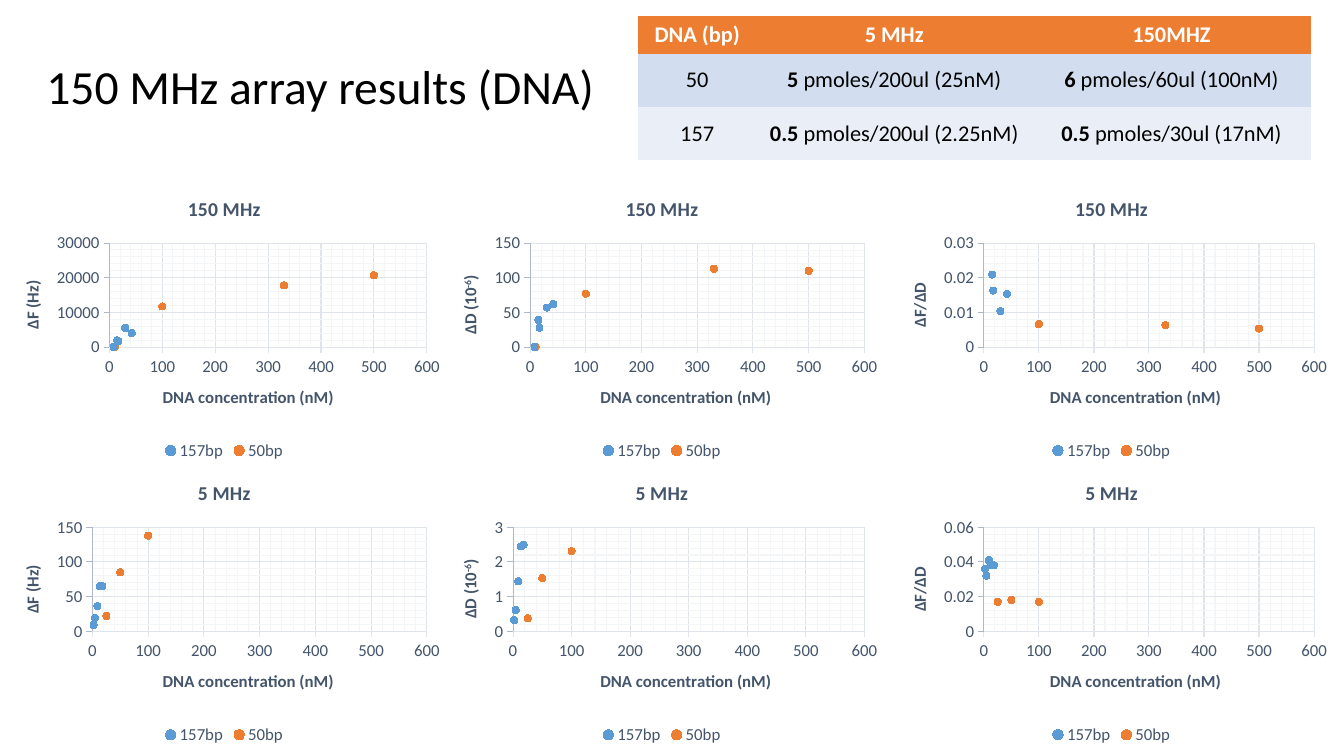
from lxml import etree
from pptx import Presentation
from pptx import util as u
from pptx.chart.data import XyChartData
from pptx.dml.color import RGBColor
from pptx.enum import chart as ch, text
from pptx.oxml import ns

FONT = "Calibri"
COLORS = {"black": "000000", "white": "FFFFFF", "head": "ED7D31", "band1": "D2DEEF",
          "band2": "EAEFF7", "label": "44546A", "axis_x": "E0E5EB", "axis_y": "ADB9CA",
          "grid": "E0E5EB", "minor": "F3F5F7", "157bp": "5B9BD5", "50bp": "ED7D31"}

TITLE = "150 MHz array results (DNA)"
TABLE = [
    [("", "DNA (bp)"), ("", "5 MHz"), ("", "150MHZ")],
    [("", "50"), ("5 ", "pmoles/200ul (25nM)"), ("6 ", "pmoles/60ul (100nM)")],
    [("", "157"), ("0.5 ", "pmoles/200ul (2.25nM)"), ("0.5 ", "pmoles/30ul (17nM)")],
]
COL_WIDTHS = [1.17, 2.74, 2.76]
ROW_HEIGHTS = [0.37, 0.53, 0.53]
ROW_FILLS = ["head", "band1", "band2"]

X_TITLE = "DNA concentration (nM)"
Y_TITLES = [("ΔF (Hz)",), ("ΔD (10", "-6", ")"), ("ΔF/ΔD",)]
CHART_ROWS = [
    ("150 MHz", {"157bp": [8, 17, 15, 30, 42], "50bp": [10, 100, 330, 500]}, [
        (30000, 10000, {"157bp": [0, 1700, 1900, 5500, 4000], "50bp": [0, 11700, 17800, 20700]}),
        (150, 50, {"157bp": [0, 28, 39, 57, 62], "50bp": [0, 77, 113, 110]}),
        (0.03, 0.01, {"157bp": [None, 0.0163, 0.0209, 0.0103, 0.0153],
                      "50bp": [None, 0.0066, 0.0063, 0.0053]}),
    ]),
    ("5 MHz", {"157bp": [2.2, 4.5, 9, 13.5, 18], "50bp": [25, 50, 100, 150]}, [
        (150, 50, {"157bp": [9, 19, 36, 65, 65], "50bp": [22, 85, 138, None]}),
        (3, 1, {"157bp": [0.32, 0.61, 1.44, 2.45, 2.5], "50bp": [0.37, 1.53, 2.31]}),
        (0.06, 0.02, {"157bp": [0.036, 0.032, 0.041, 0.038, 0.038],
                      "50bp": [0.017, 0.018, 0.017]}),
    ]),
]
CHART_LEFTS = [0, 4.34, 8.8]
CHART_TOP, CHART_W, CHART_H = 1.79, 4.45, 2.82


def rgb(name):
    return RGBColor.from_string(COLORS[name])


def style(font, size, color, bold=False):
    font.name, font.size, font.bold = FONT, u.Pt(size), bold
    font.color.rgb = rgb(color)


def label(tf, parts, size):
    p = tf.paragraphs[0]
    for i, part in enumerate(parts):
        r = p.add_run()
        r.text = part
        style(r.font, size, "label", True)
        if i == 1:
            r.font._element.set("baseline", "30000")


def style_line(line, color):
    line.color.rgb = rgb(color)
    line.width = u.Pt(0.75)


def style_axis(axis, title, top, step, color):
    label(axis.axis_title.text_frame, title, 12)
    axis.minimum_scale, axis.maximum_scale, axis.major_unit = 0, top, step
    axis.has_major_gridlines = axis.has_minor_gridlines = True
    style_line(axis.major_gridlines.format.line, "grid")
    minor = axis._element.find(ns.qn("c:minorGridlines"))
    sp_pr = etree.SubElement(minor, ns.qn("c:spPr"))
    ln = etree.SubElement(sp_pr, ns.qn("a:ln"), w="9525")
    fill = etree.SubElement(ln, ns.qn("a:solidFill"))
    etree.SubElement(fill, ns.qn("a:srgbClr"), val=COLORS["minor"])
    axis.major_tick_mark = ch.XL_TICK_MARK.OUTSIDE
    axis.minor_tick_mark = ch.XL_TICK_MARK.NONE
    axis.tick_labels.number_format = "General"
    axis.tick_labels.number_format_is_linked = False
    style(axis.tick_labels.font, 12, "label")
    style_line(axis.format.line, color)


def clear_missing_points(chart):
    for pt in list(chart._chartSpace.iter(ns.qn("c:pt"))):
        if pt.findtext(ns.qn("c:v")) in ("None", "", None):
            pt.getparent().remove(pt)


def add_scatter(s, left, top, title, y_title, xs, y_max, y_step, ys):
    data = XyChartData()
    for name, values in ys.items():
        series = data.add_series(name)
        for x, y in zip(xs[name], values):
            series.add_data_point(x, y)
    chart = s.shapes.add_chart(ch.XL_CHART_TYPE.XY_SCATTER, u.Inches(left), u.Inches(top),
                               u.Inches(CHART_W), u.Inches(CHART_H), data).chart
    clear_missing_points(chart)
    style(chart.font, 12, "black")
    label(chart.chart_title.text_frame, (title,), 14)
    chart.chart_title.include_in_layout = False
    chart.has_legend = True
    chart.legend.position = ch.XL_LEGEND_POSITION.BOTTOM
    chart.legend.include_in_layout = False
    style(chart.legend.font, 12, "label")
    style_axis(chart.category_axis, (X_TITLE,), 600, 100, "axis_x")
    style_axis(chart.value_axis, y_title, y_max, y_step, "axis_y")
    chart.plots[0].vary_by_categories = False
    for series in chart.plots[0].series:
        series.smooth = False
        series.format.line.fill.background()
        marker = series.marker
        marker.style, marker.size = ch.XL_MARKER_STYLE.CIRCLE, 5
        marker.format.fill.solid()
        marker.format.fill.fore_color.rgb = rgb(series.name)
        marker.format.line.fill.background()


def add_title(s):
    sp = s.shapes.title
    sp.left, sp.top, sp.width, sp.height = map(u.Inches, (0.36, 0.51, 5.69, 0.67))
    tf = sp.text_frame
    tf.text = TITLE
    tf.word_wrap = False
    tf.vertical_anchor = text.MSO_ANCHOR.TOP
    tf.paragraphs[0].alignment = text.PP_ALIGN.LEFT
    style(tf.paragraphs[0].runs[0].font, 34, "black")


def clear_borders(cell):
    tc_pr = cell._tc.get_or_add_tcPr()
    for i, side in enumerate(("lnL", "lnR", "lnT", "lnB")):
        ln = etree.Element(ns.qn("a:" + side), w="0")
        etree.SubElement(ln, ns.qn("a:noFill"))
        tc_pr.insert(i, ln)


def add_dna_table(s):
    table = s.shapes.add_table(len(TABLE), len(COL_WIDTHS), u.Inches(6.33), u.Inches(0.16),
                               u.Inches(sum(COL_WIDTHS)), u.Inches(sum(ROW_HEIGHTS))).table
    for col, width in zip(table.columns, COL_WIDTHS):
        col.width = u.Inches(width)
    for i, (row, height) in enumerate(zip(table.rows, ROW_HEIGHTS)):
        row.height = u.Inches(height)
        for cell, (amount, rest) in zip(row.cells, TABLE[i]):
            cell.fill.solid()
            cell.fill.fore_color.rgb = rgb(ROW_FILLS[i])
            clear_borders(cell)
            cell.vertical_anchor = text.MSO_ANCHOR.MIDDLE
            p = cell.text_frame.paragraphs[0]
            p.alignment = text.PP_ALIGN.CENTER
            for part, bold in ((amount, True), (rest, i == 0)):
                if part:
                    r = p.add_run()
                    r.text = part
                    style(r.font, 16, "black" if i else "white", bold)


def main():
    prs = Presentation()
    prs.slide_width, prs.slide_height = u.Inches(13.33), u.Inches(7.5)
    s = prs.slides.add_slide(prs.slide_layouts[5])
    for i, (title, xs, charts) in enumerate(CHART_ROWS):
        for left, y_title, (y_max, y_step, ys) in zip(CHART_LEFTS, Y_TITLES, charts):
            add_scatter(s, left, CHART_TOP + i * CHART_H, title, y_title, xs, y_max, y_step, ys)
    add_title(s)
    add_dna_table(s)
    prs.save("out.pptx")


if __name__ == "__main__":
    main()
